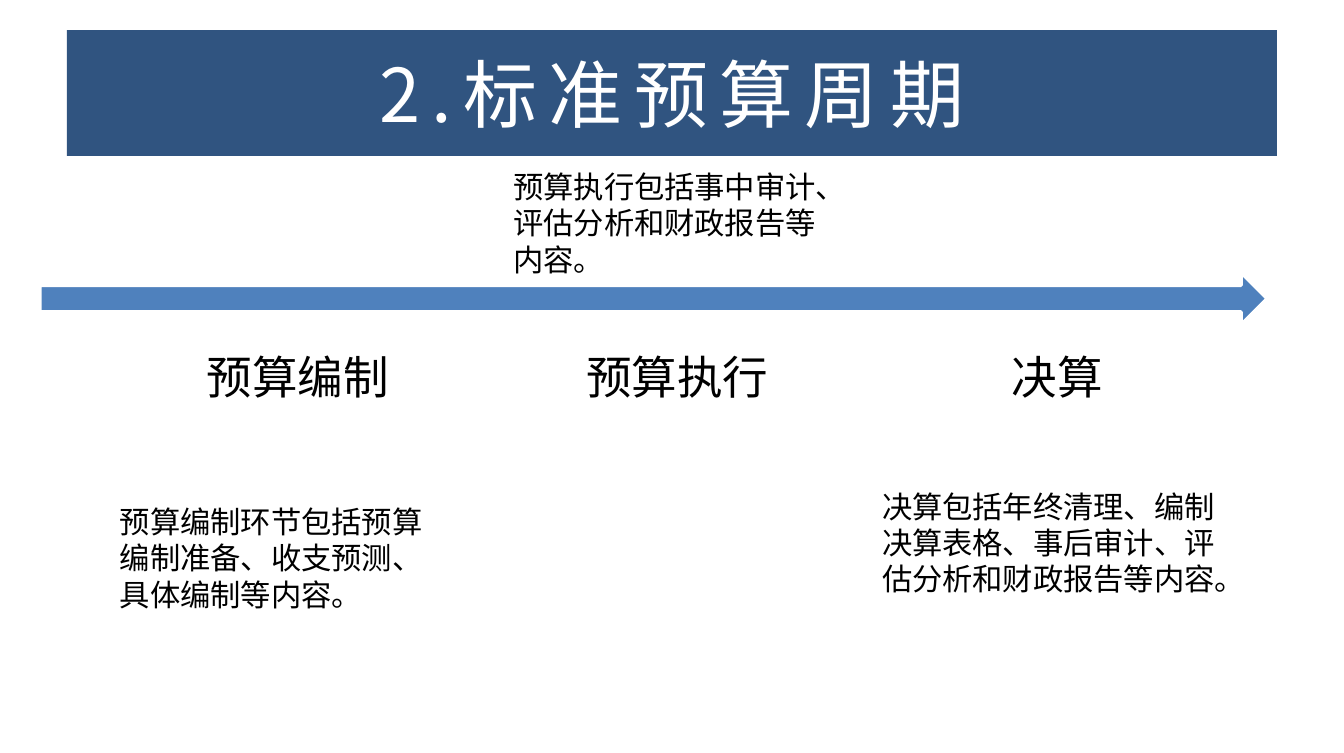
from pptx import Presentation
from pptx.dml.color import RGBColor
from pptx.enum.shapes import MSO_SHAPE
from pptx.enum.text import MSO_ANCHOR, PP_ALIGN
from pptx.oxml.ns import qn
from pptx.util import Inches, Pt
from lxml import etree

RECT, ARROW = MSO_SHAPE.RECTANGLE, MSO_SHAPE.RIGHT_ARROW
TOP, MIDDLE = MSO_ANCHOR.TOP, MSO_ANCHOR.MIDDLE
LEFT, CENTER = PP_ALIGN.LEFT, PP_ALIGN.CENTER

# Content
TITLE = "2.标准预算周期"
STAGES = ["预算编制", "预算执行", "决算"]
# (text, left, top, width) in inches
NOTES = [
    ("预算编制环节包括预算编制准备、收支预测、具体编制等内容。", 0.78, 3.63, 2.58),
    ("预算执行包括事中审计、评估分析和财政报告等内容。", 3.66, 1.18, 2.58),
    ("决算包括年终清理、编制决算表格、事后审计、评估分析和财政报告等内容。", 6.36, 3.52, 2.7),
]
COLORS = {"banner": "305480", "arrow": "4F81BD", "white": "FFFFFF", "text": "000000"}
LATIN, CJK = "Calibri", "Noto Sans CJK SC"

# Layout
W, H = 9.84, 5.51
BANNER = (0.49, 0.22, 8.86, 0.92)
TIMELINE = (0.29, 1.99, 8.99, 0.39)
STAGE_LEFT, STAGE_TOP, STAGE_W, STAGE_H, STAGE_STEP = 1.02, 2.37, 2.32, 0.76, 2.78
NOTE_H = 0.91


def rgb(name):
    return RGBColor.from_string(COLORS[name])


def add_block(s, kind, box, fill):
    sp = s.shapes.add_shape(kind, *map(Inches, box))
    sp.shadow.inherit = False
    sp.fill.solid()
    sp.fill.fore_color.rgb = rgb(fill)
    sp.line.fill.background()
    return sp


def write(sp, text, size, color="text", font=LATIN, align=LEFT, anchor=TOP,
          margins=(0.1, 0.05), spacing=0):
    tf = sp.text_frame
    tf.word_wrap = True
    tf.vertical_anchor = anchor
    tf.margin_left = tf.margin_right = Inches(margins[0])
    tf.margin_top = tf.margin_bottom = Inches(margins[1])
    p = tf.paragraphs[0]
    p.alignment = align
    r = p.add_run()
    r.text = text
    r.font.size = Pt(size)
    r.font.color.rgb = rgb(color)
    r.font.name = font
    rPr = r.font._element
    etree.SubElement(rPr, qn("a:ea")).set("typeface", CJK)
    if spacing:
        rPr.set("spc", str(spacing * 100))


def main():
    prs = Presentation()
    prs.slide_width, prs.slide_height = Inches(W), Inches(H)
    s = prs.slides.add_slide(prs.slide_layouts[6])

    # Timeline arrow
    arrow = add_block(s, ARROW, TIMELINE, "arrow")
    arrow.line.color.rgb = rgb("white")
    arrow.line.width = Pt(2)

    # Stage labels at equal steps
    for i, stage in enumerate(STAGES):
        box = (STAGE_LEFT + i * STAGE_STEP, STAGE_TOP, STAGE_W, STAGE_H)
        write(s.shapes.add_textbox(*map(Inches, box)), stage, 24,
              align=CENTER, anchor=MIDDLE, margins=(0, 0))

    # Stage notes
    for text, left, top, width in NOTES:
        box = (left, top, width, NOTE_H)
        write(s.shapes.add_textbox(*map(Inches, box)), text, 16)

    # Title banner
    write(add_block(s, RECT, BANNER, "banner"), TITLE, 39, "white", CJK,
          CENTER, MIDDLE, (0.09, 0.04), spacing=6)

    prs.save("out.pptx")


if __name__ == "__main__":
    main()
